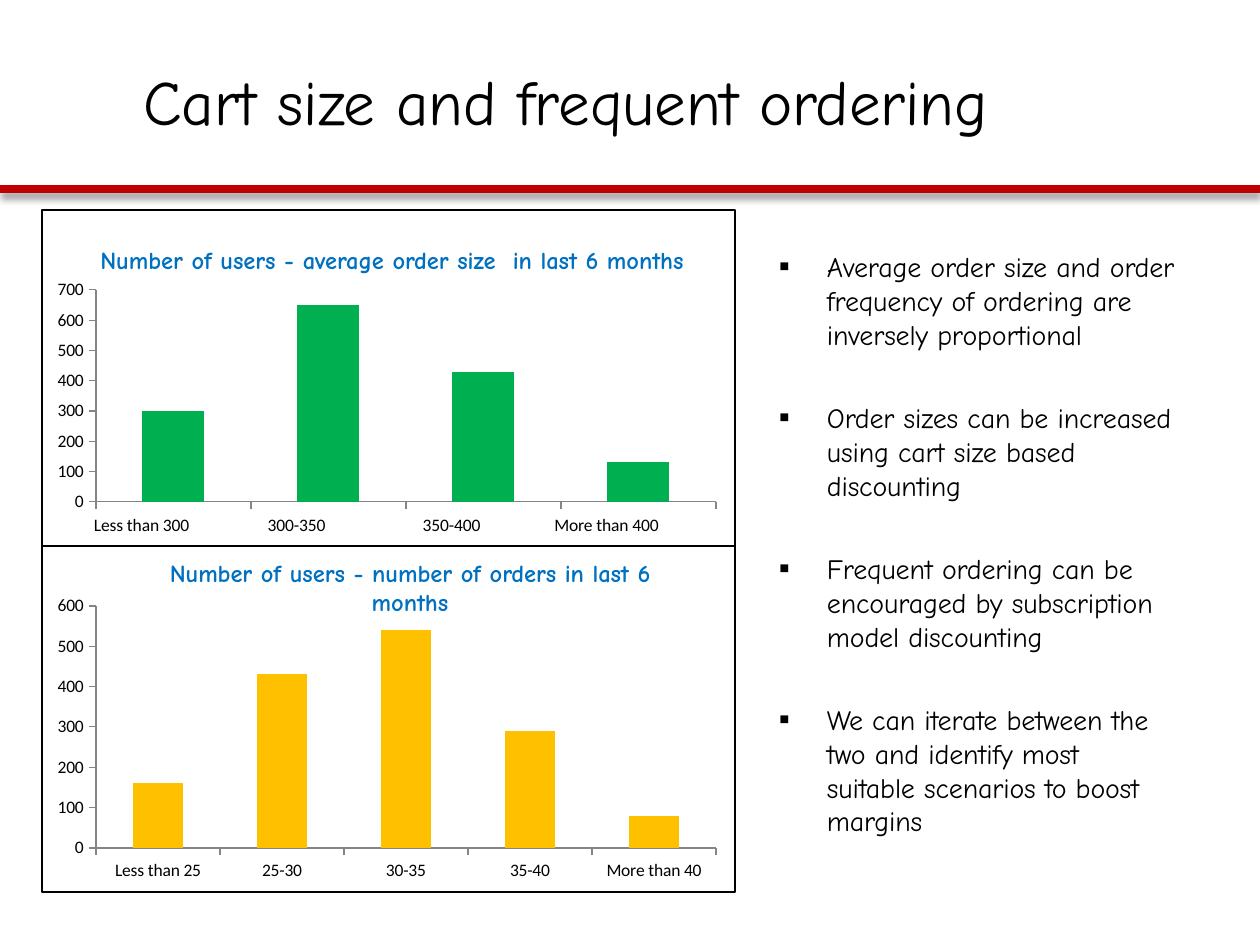
from dataclasses import dataclass

import lxml.etree
import pptx
import pptx.chart.data
import pptx.dml.color
import pptx.enum.chart
import pptx.enum.shapes
import pptx.enum.text
import pptx.oxml
import pptx.oxml.ns
import pptx.util

PIXEL = 914400 / 126
COLORS = {"black": "000000", "red": "C00000", "green": "00B050",
          "amber": "FFC000", "blue": "0070C0", "axis": "858585"}
HEADING_FONT = "Comic Neue"
CHART_FONT = "Calibri"


@dataclass
class Box:
    left: int
    top: int
    width: int
    height: int

    def emu(self) -> list[int]:
        return [px(n) for n in (self.left, self.top, self.width, self.height)]


@dataclass
class ChartPanel:
    title: str
    title_box: Box
    frame: Box
    plot: Box
    categories: list[str]
    users: list[int]
    maximum: int
    color: str
    label_shift: int = 0


def px(pixels: float) -> int:
    return round(pixels * PIXEL)


def rgb(name: str) -> pptx.dml.color.RGBColor:
    return pptx.dml.color.RGBColor.from_string(COLORS[name])


def add_text(slide, box: Box, paragraphs: list[str], *, size: int,
             font: str = HEADING_FONT, color: str = "black", bold: bool = False,
             centered: bool = False, bulleted: bool = False,
             line_spacing: float = 1.0, space_after: float = 0) -> None:
    frame = slide.shapes.add_textbox(*box.emu()).text_frame
    frame.word_wrap = True
    frame.margin_left = frame.margin_right = 0
    frame.margin_top = frame.margin_bottom = 0
    for index, text in enumerate(paragraphs):
        paragraph = frame.add_paragraph() if index else frame.paragraphs[0]
        paragraph.text = text
        paragraph.line_spacing = line_spacing
        paragraph.space_after = pptx.util.Pt(space_after)
        if centered:
            paragraph.alignment = pptx.enum.text.PP_ALIGN.CENTER
        for run in paragraph.runs:
            run.font.name = font
            run.font.size = pptx.util.Pt(size)
            run.font.bold = bold
            run.font.color.rgb = rgb(color)
            run.font._element.set("spc", "-5")
        if bulleted:
            add_bullet(paragraph)


def add_bullet(paragraph) -> None:
    properties = paragraph._p.get_or_add_pPr()
    properties.set("marL", str(px(49)))
    properties.set("indent", str(px(-48)))
    for tag, name, value in (("buSzPct", "val", "112000"),
                             ("buFont", "typeface", "Arial"),
                             ("buChar", "char", "▪")):
        bullet = lxml.etree.SubElement(properties, pptx.oxml.ns.qn(f"a:{tag}"))
        bullet.set(name, value)


def add_divider(slide, y: int, width: int) -> None:
    line = slide.shapes.add_connector(
        pptx.enum.shapes.MSO_CONNECTOR.STRAIGHT, 0, px(y), px(width), px(y))
    line.line.color.rgb = rgb("red")
    line.line.width = pptx.util.Pt(4.5)
    line._element.spPr.append(pptx.oxml.parse_xml(
        f'<a:effectLst {pptx.oxml.ns.nsdecls("a")}>'
        '<a:outerShdw blurRad="50800" dist="38100" dir="5400000">'
        '<a:srgbClr val="000000"><a:alpha val="40000"/></a:srgbClr>'
        '</a:outerShdw></a:effectLst>'))


def set_plot_layout(chart, frame: Box, plot: Box) -> None:
    values = {"x": (plot.left - frame.left) / frame.width,
              "y": (plot.top - frame.top) / frame.height,
              "w": plot.width / frame.width,
              "h": plot.height / frame.height}
    sizes = "".join(f'<c:{key} val="{value:.4f}"/>' for key, value in values.items())
    plot_area = chart._chartSpace.chart.plotArea
    for old_layout in plot_area.findall(pptx.oxml.ns.qn("c:layout")):
        plot_area.remove(old_layout)
    plot_area.insert(0, pptx.oxml.parse_xml(
        f'<c:layout {pptx.oxml.ns.nsdecls("c")}><c:manualLayout>'
        '<c:layoutTarget val="inner"/><c:xMode val="edge"/><c:yMode val="edge"/>'
        f'{sizes}</c:manualLayout></c:layout>'))


def add_shifted_labels(slide, panel: ChartPanel) -> None:
    step = panel.plot.width // len(panel.categories)
    top = panel.plot.top + panel.plot.height + 12
    for index, category in enumerate(panel.categories):
        left = panel.plot.left + index * step + panel.label_shift
        add_text(slide, Box(left, top, step, 22), [category], size=10,
                 font=CHART_FONT, centered=True)


def add_panel(slide, panel: ChartPanel) -> None:
    # Column chart
    data = pptx.chart.data.CategoryChartData()
    data.categories = panel.categories
    data.add_series("Number of users", panel.users)
    chart = slide.shapes.add_chart(
        pptx.enum.chart.XL_CHART_TYPE.COLUMN_CLUSTERED, *panel.frame.emu(), data).chart
    chart.has_legend = False
    chart.has_title = False
    chart.font.name = CHART_FONT
    chart.font.size = pptx.util.Pt(10)
    chart.font.color.rgb = rgb("black")
    plot = chart.plots[0]
    plot.gap_width = 150
    plot.vary_by_categories = False
    fill = plot.series[0].format.fill
    fill.solid()
    fill.fore_color.rgb = rgb(panel.color)
    for axis in (chart.category_axis, chart.value_axis):
        axis.has_major_gridlines = False
        axis.major_tick_mark = pptx.enum.chart.XL_TICK_MARK.OUTSIDE
        axis.minor_tick_mark = pptx.enum.chart.XL_TICK_MARK.NONE
        axis.format.line.color.rgb = rgb("axis")
        axis.format.line.width = pptx.util.Pt(0.75)
    chart.value_axis.minimum_scale = 0
    chart.value_axis.maximum_scale = panel.maximum
    chart.value_axis.major_unit = 100
    set_plot_layout(chart, panel.frame, panel.plot)
    if panel.label_shift:
        chart.category_axis.tick_label_position = pptx.enum.chart.XL_TICK_LABEL_POSITION.NONE
        add_shifted_labels(slide, panel)

    # Frame and heading
    border = slide.shapes.add_shape(
        pptx.enum.shapes.MSO_SHAPE.RECTANGLE, *panel.frame.emu())
    border.shadow.inherit = False
    border.fill.background()
    border.line.color.rgb = rgb("black")
    border.line.width = pptx.util.Pt(0.75)
    add_text(slide, panel.title_box, [panel.title], size=14, color="blue",
             bold=True, centered=True)


PANELS = [
    ChartPanel("Number of users - average order size  in last 6 months",
               Box(82, 245, 620, 30), Box(42, 210, 693, 336), Box(96, 290, 620, 212),
               ["Less than 300", "300-350", "350-400", "More than 400"],
               [300, 650, 430, 130], 700, "green", label_shift=-32),
    ChartPanel("Number of users - number of orders in last 6 months",
               Box(155, 558, 510, 60), Box(42, 546, 693, 346), Box(96, 606, 620, 242),
               ["Less than 25", "25-30", "30-35", "35-40", "More than 40"],
               [160, 430, 540, 290, 80], 600, "amber"),
]
FINDINGS = [
    "Average order size and order frequency of ordering are inversely proportional",
    "Order sizes can be increased using cart size based discounting",
    "Frequent ordering can be encouraged by subscription model discounting",
    "We can iterate between the\vtwo and identify most\vsuitable scenarios to boost margins",
]

presentation = pptx.Presentation()
presentation.slide_width = px(1260)
presentation.slide_height = px(945)
slide = presentation.slides.add_slide(presentation.slide_layouts[6])

# Title and divider
add_text(slide, Box(143, 63, 976, 78), ["Cart size and frequent ordering"], size=36)
add_divider(slide, 189, 1260)

# Charts
for panel in PANELS:
    add_panel(slide, panel)

# Findings
add_text(slide, Box(778, 249, 414, 596), FINDINGS, size=16, bulleted=True,
         line_spacing=1.01, space_after=28.2)

presentation.save("out.pptx")
